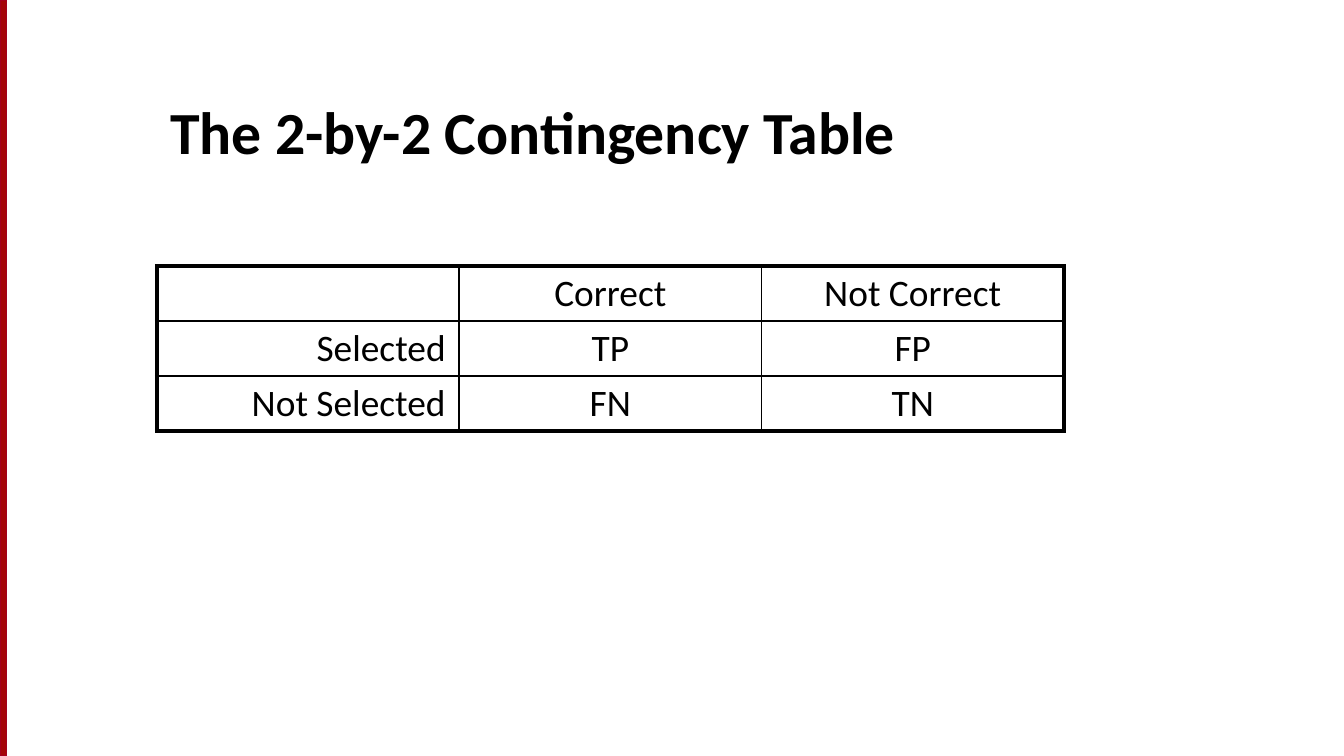
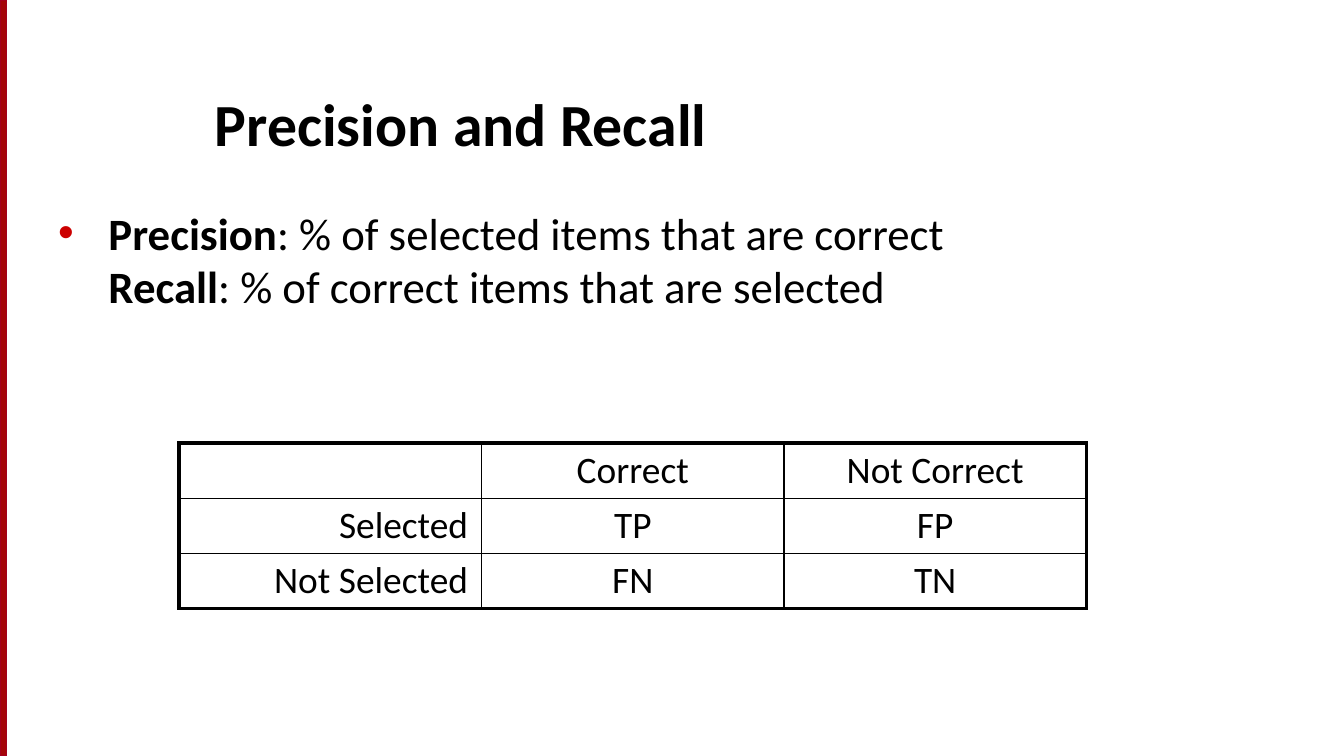
import pptx
import pptx.util
import pptx.dml.color
import pptx.enum.shapes
import pptx.enum.text
import pptx.oxml
import pptx.oxml.ns
import lxml.etree

Pt = pptx.util.Pt
ALIGN = pptx.enum.text.PP_ALIGN
ANCHOR = pptx.enum.text.MSO_ANCHOR
qn = pptx.oxml.ns.qn

BLACK = pptx.dml.color.RGBColor(0x00, 0x00, 0x00)
BAND = pptx.dml.color.RGBColor(0xA4, 0x05, 0x08)
BAND_LINE = pptx.dml.color.RGBColor(0xA4, 0x00, 0x1D)
BULLET = pptx.dml.color.RGBColor(0xCC, 0x00, 0x00)

FONT = "Calibri"
WIDTH, HEIGHT = 720, 405
COL_W, ROW_H = 162, 29.5
THICK, THIN = 2.25, 1

CONTINGENCY = [
    ["", "Correct", "Not Correct"],
    ["Selected", "TP", "FP"],
    ["Not Selected", "FN", "TN"],
]

# Title, title position, table position, definitions
SLIDES = [
    ("The 2-by-2 Contingency Table", (84, 34.5), (84, 142.5), []),
    ("Precision and Recall", (108, 30), (96, 237.5), [
        ("Precision", ": % of selected items that are correct"),
        ("Recall", ": % of correct items that are selected"),
    ]),
]


def add_run(p, text, size, bold=False):
    r = p.add_run()
    r.text = text
    style = {"name": FONT, "size": Pt(size), "bold": bold}
    for key, value in style.items():
        setattr(r.font, key, value)
    r.font.color.rgb = BLACK


def add_border(cell, side, width):
    ln = lxml.etree.SubElement(cell._tc.get_or_add_tcPr(), qn("a:ln" + side),
                               w=str(Pt(width)))
    fill = lxml.etree.SubElement(ln, qn("a:solidFill"))
    lxml.etree.SubElement(fill, qn("a:srgbClr"), val=str(BLACK))


prs = pptx.Presentation()
prs.slide_width, prs.slide_height = Pt(WIDTH), Pt(HEIGHT)

for title, title_at, table_at, definitions in SLIDES:
    s = prs.slides.add_slide(prs.slide_layouts[6])

    # Red band on the left edge
    sp = s.shapes.add_shape(pptx.enum.shapes.MSO_SHAPE.RECTANGLE,
                            Pt(0), Pt(0), Pt(3.6), Pt(HEIGHT))
    sp.shadow.inherit = False
    sp.fill.solid()
    sp.fill.fore_color.rgb = BAND
    sp.line.color.rgb = BAND_LINE
    sp.line.width = Pt(0.75)

    # Title
    sp = s.shapes.add_textbox(*map(Pt, title_at), Pt(588), Pt(58.5))
    tf = sp.text_frame
    tf.word_wrap = True
    tf.vertical_anchor = ANCHOR.BOTTOM
    add_run(tf.paragraphs[0], title, 32, bold=True)

    # Definitions share one bulleted paragraph
    if definitions:
        sp = s.shapes.add_textbox(Pt(24), Pt(106.5), Pt(672), Pt(263))
        tf = sp.text_frame
        tf.word_wrap = True
        p = tf.paragraphs[0]
        p.space_before = Pt(4.8)
        pPr = p._p.get_or_add_pPr()
        pPr.set("marL", str(Pt(27)))
        pPr.set("indent", str(-Pt(27)))
        color = lxml.etree.SubElement(pPr, qn("a:buClr"))
        lxml.etree.SubElement(color, qn("a:srgbClr"), val=str(BULLET))
        lxml.etree.SubElement(pPr, qn("a:buFont"), typeface="Arial")
        lxml.etree.SubElement(pPr, qn("a:buChar"), char="•")
        for i, (term, meaning) in enumerate(definitions):
            if i:
                p.add_line_break()
            add_run(p, term, 24, bold=True)
            add_run(p, meaning, 24)

    # Contingency table: thick outline, thin inner lines
    n = len(CONTINGENCY)
    table = s.shapes.add_table(n, n, *map(Pt, table_at),
                               Pt(n * COL_W), Pt(n * ROW_H)).table
    table.first_row = table.horz_banding = False
    for i in range(n):
        table.columns[i].width = Pt(COL_W)
        table.rows[i].height = Pt(ROW_H)
    for row, texts in enumerate(CONTINGENCY):
        for col, text in enumerate(texts):
            cell = table.cell(row, col)
            margins = {"margin_left": 7.2, "margin_right": 7.2,
                       "margin_top": 2.7, "margin_bottom": 2.7}
            for key, value in margins.items():
                setattr(cell, key, Pt(value))
            outer = {"L": col == 0, "R": col == n - 1,
                     "T": row == 0, "B": row == n - 1}
            for side, is_outer in outer.items():
                add_border(cell, side, THICK if is_outer else THIN)
            cell.fill.background()
            if text:
                p = cell.text_frame.paragraphs[0]
                p.alignment = ALIGN.CENTER if col else ALIGN.RIGHT
                add_run(p, text, 20)

prs.save("out.pptx")
